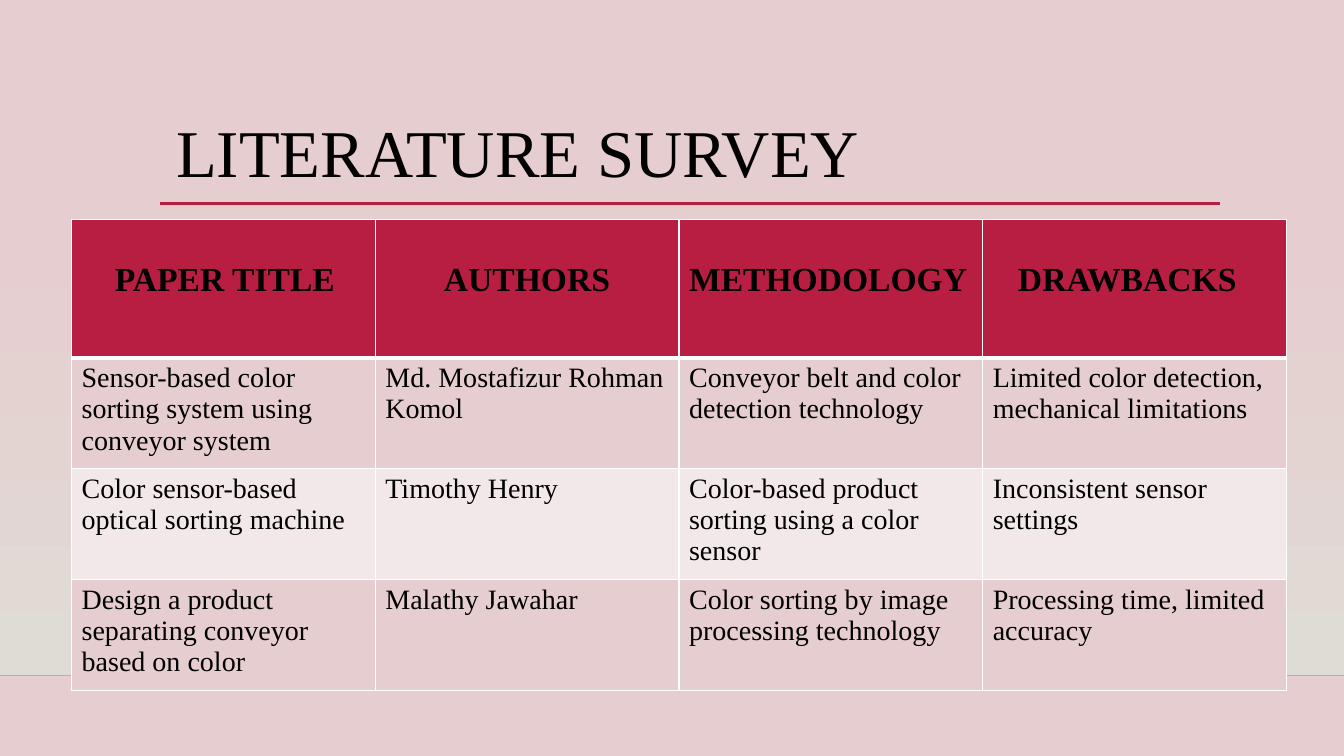
from lxml import etree
from pptx import Presentation
from pptx import util as u
from pptx.dml.color import RGBColor
from pptx.enum import shapes
from pptx.oxml.ns import qn

FONT = "Times New Roman"
ROSE, RED, PALE, SAND = "E6CDCF", "B71E42", "F3E8E9", "DFDBD5"
BLACK, WHITE, GREY = "000000", "FFFFFF", "B3AFAB"

HEADS = [("PAPER TITLE", 0.33), ("AUTHORS", 0.58),
         ("METHODOLOGY", 0), ("DRAWBACKS", 0.25)]
PAPERS = [
    ("Sensor-based color sorting system using conveyor system",
     "Md. Mostafizur Rohman Komol",
     "Conveyor belt and color detection technology",
     "Limited color detection, mechanical limitations"),
    ("Color sensor-based optical sorting machine",
     "Timothy Henry",
     "Color-based product sorting using a color sensor",
     "Inconsistent sensor settings"),
    ("Design a product separating conveyor based on color",
     "Malathy Jawahar",
     "Color sorting by image processing technology",
     "Processing time, limited accuracy"),
]


def rgb(code):
    return RGBColor.from_string(code)


def write(frame, words, size, bold=False):
    para = frame.paragraphs[0]
    para.text = words
    para.font.name = FONT
    para.font.size = u.Pt(size)
    para.font.bold = bold
    para.font.color.rgb = rgb(BLACK)


def rule(slide, left, top, width, color, weight):
    x, y = u.Inches(left), u.Inches(top)
    line = slide.shapes.add_connector(
        shapes.MSO_CONNECTOR.STRAIGHT, x, y, x + u.Inches(width), y)
    line.line.color.rgb = rgb(color)
    line.line.width = u.Pt(weight)
    etree.SubElement(line._element.spPr, qn("a:effectLst"))


def border(cell, **weights):
    props = cell._tc.get_or_add_tcPr()
    for spot, (side, weight) in enumerate(weights.items()):
        edge = etree.Element(qn(f"a:ln{side}"), w=str(u.Pt(weight)))
        fill = etree.SubElement(edge, qn("a:solidFill"))
        etree.SubElement(fill, qn("a:srgbClr"), val=WHITE)
        props.insert(spot, edge)


def backdrop(slide, left, top, width, height):
    slide.background.fill.solid()
    slide.background.fill.fore_color.rgb = rgb(ROSE)
    wall = slide.shapes.add_shape(
        shapes.MSO_SHAPE.RECTANGLE, *map(u.Inches, (left, top, width, height)))
    wall.shadow.inherit = False
    wall.line.fill.background()
    wall.fill.gradient()
    wall.fill.gradient_angle = 270
    for stop, color in zip(wall.fill.gradient_stops, (ROSE, SAND)):
        stop.color.rgb = rgb(color)
    rule(slide, left, top + height, width, GREY, 1)


def heading(slide, left, top, width, height):
    rule(slide, left - 0.06, top + height + 0.09, width + 0.01, RED, 2.5)
    box = slide.shapes.add_textbox(*map(u.Inches, (left, top, width, height)))
    box.text_frame.word_wrap = True
    write(box.text_frame, "LITERATURE SURVEY", 47.7)


def survey(slide, left, top, width, height):
    head = 1.37
    table = slide.shapes.add_table(
        len(PAPERS) + 1, len(HEADS),
        *map(u.Inches, (left, top, width, height))).table
    table.first_row = table.horz_banding = False
    for col in table.columns:
        col.width = u.Inches(width / len(HEADS))
    for row in table.rows:
        row.height = u.Inches((height - head) / len(PAPERS))
    table.rows[0].height = u.Inches(head)

    for c, (words, indent) in enumerate(HEADS):
        cell = table.cell(0, c)
        cell.margin_left = u.Inches(0.1 + indent)
        cell.margin_top = u.Inches(0.42)
        write(cell.text_frame, words, 24, True)
        cell.fill.solid()
        cell.fill.fore_color.rgb = rgb(RED)
        border(cell, L=1, R=1, T=1, B=3)

    for r, paper in enumerate(PAPERS, 1):
        for c, words in enumerate(paper):
            cell = table.cell(r, c)
            write(cell.text_frame, words, 20)
            cell.fill.solid()
            cell.fill.fore_color.rgb = rgb(ROSE if r % 2 else PALE)
            border(cell, L=1, R=1, T=3 if r == 1 else 1, B=1)


def main():
    deck = Presentation()
    deck.slide_width, deck.slide_height = u.Inches(13.33), u.Inches(7.5)
    slide = deck.slides.add_slide(deck.slide_layouts[6])
    backdrop(slide, 0, 2.21, 13.33, 4.49)
    heading(slide, 1.65, 1.05, 10.5, 0.88)
    survey(slide, 0.71, 2.18, 12.05, 4.45)
    deck.save("out.pptx")


if __name__ == "__main__":
    main()
